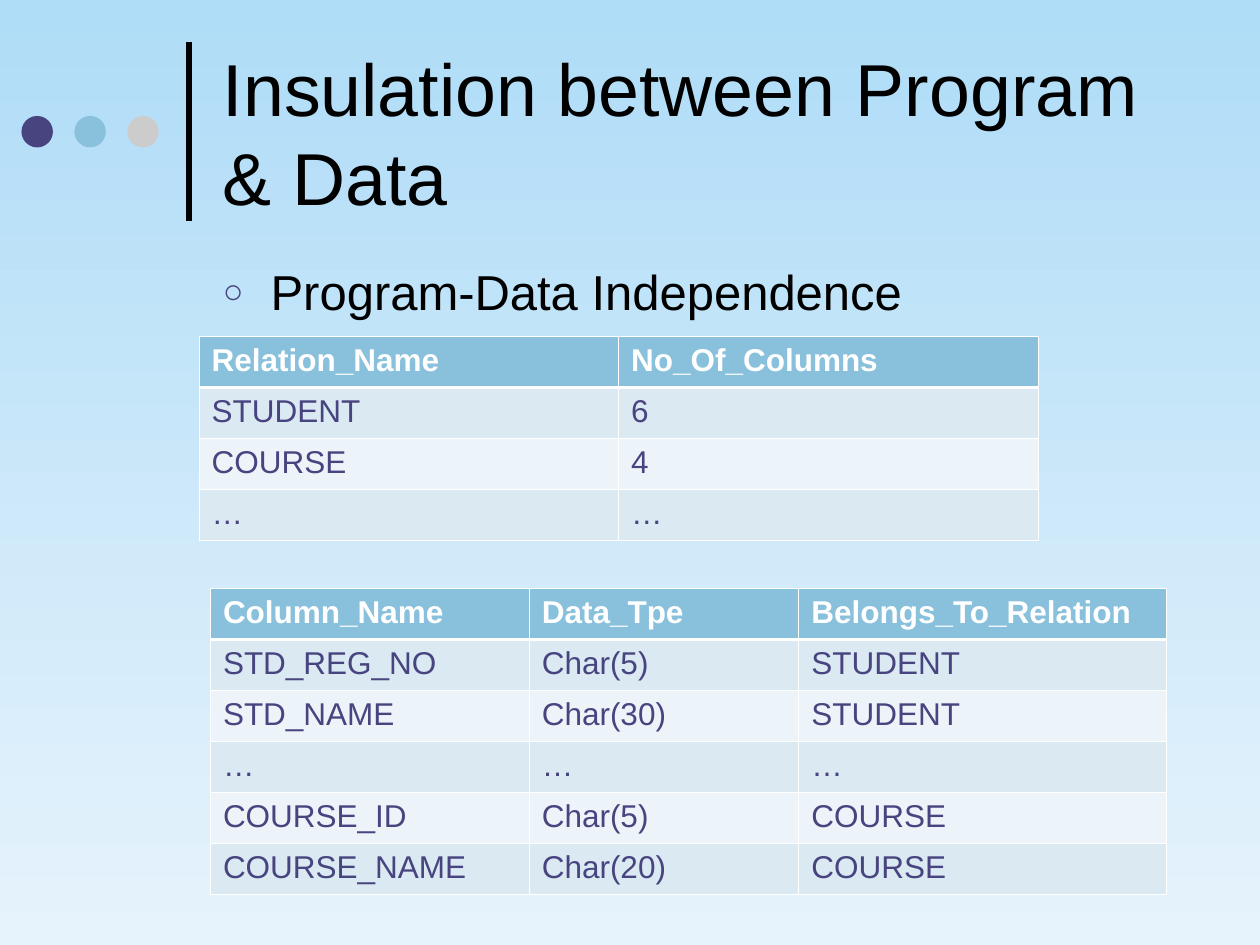
"""Build the slide on insulation between program and data."""
from lxml.etree import SubElement
from pptx import Presentation
from pptx.dml.color import RGBColor
from pptx.enum.shapes import MSO_CONNECTOR as Connector, MSO_SHAPE as Shape
from pptx.enum.text import MSO_ANCHOR as Anchor
from pptx.oxml.ns import qn
from pptx.util import Inches, Pt

COLORS = {
    "sky": "AFDCF7", "mist": "E6F3FC", "black": "000000", "white": "FFFFFF",
    "indigo": "484480", "blue": "89C1DD", "gray": "CCCCCC",
    "odd": "DAE9F2", "even": "EDF4F9",
}


def rgb(name):
    return RGBColor.from_string(COLORS[name])


def write(frame, text, size=18, color="black", bold=False, anchor=Anchor.TOP):
    frame.word_wrap = True
    frame.vertical_anchor = anchor
    paragraph = frame.paragraphs[0]
    run = paragraph.add_run()
    run.text = text
    run.font.name = "Arial"
    run.font.size = Pt(size)
    run.font.bold = bold
    run.font.color.rgb = rgb(color)
    return paragraph


prs = Presentation()
prs.slide_width, prs.slide_height = Inches(10), Inches(7.5)
slide = prs.slides.add_slide(prs.slide_layouts[6])

sky = slide.background.fill
sky.gradient()
sky.gradient_angle = 270
for stop, color in zip(sky.gradient_stops, ("sky", "mist")):
    stop.color.rgb = rgb(color)
for stop, position in zip(sky.gradient_stops, (0, 1)):
    stop.position = position

title_rule = slide.shapes.add_connector(
    Connector.STRAIGHT, Inches(1.5), Inches(1.75), Inches(1.5), Inches(0.33))
title_rule.line.color.rgb = rgb("black")
title_rule.line.width = Pt(3)
SubElement(title_rule._element.spPr, qn("a:effectLst"))

for i, color in enumerate(("indigo", "blue", "gray")):
    dot = slide.shapes.add_shape(
        Shape.OVAL, Inches(0.17 + 0.42 * i), Inches(0.92), Inches(0.25), Inches(0.25))
    dot.shadow.inherit = False
    dot.fill.solid()
    dot.fill.fore_color.rgb = rgb(color)
    dot.line.fill.background()

title = slide.shapes.add_textbox(Inches(1.67), Inches(0.21), Inches(7.67), Inches(1.67))
write(title.text_frame, "Insulation between Program & Data", size=42, anchor=Anchor.MIDDLE)

body = slide.shapes.add_textbox(Inches(1.67), Inches(2.08), Inches(7.67), Inches(4.5))
topic = write(body.text_frame, "Program-Data Independence", size=28)
topic.line_spacing = 0.9
topic.space_before = Pt(7)
topic_format = topic._p.get_or_add_pPr()
topic_format.set("marL", str(Inches(0.38)))
topic_format.set("indent", str(Inches(-0.38)))
bullet_color = SubElement(topic_format, qn("a:buClr"))
SubElement(bullet_color, qn("a:srgbClr"), val=COLORS["indigo"])
SubElement(topic_format, qn("a:buSzPct"), val="70000")
SubElement(topic_format, qn("a:buFont"), typeface="Arial")
SubElement(topic_format, qn("a:buChar"), char="○")

CATALOGS = [
    (1.58, 2.67, (3.33, 3.33), [
        ("Relation_Name", "No_Of_Columns"),
        ("STUDENT", "6"),
        ("COURSE", "4"),
        ("…", "…"),
    ]),
    (1.67, 4.67, (2.53, 2.14, 2.92), [
        ("Column_Name", "Data_Tpe", "Belongs_To_Relation"),
        ("STD_REG_NO", "Char(5)", "STUDENT"),
        ("STD_NAME", "Char(30)", "STUDENT"),
        ("…", "…", "…"),
        ("COURSE_ID", "Char(5)", "COURSE"),
        ("COURSE_NAME", "Char(20)", "COURSE"),
    ]),
]
ROW_HEIGHT = 0.405

for left, top, widths, records in CATALOGS:
    catalog = slide.shapes.add_table(
        len(records), len(widths), Inches(left), Inches(top),
        Inches(sum(widths)), Inches(ROW_HEIGHT * len(records))).table
    for column, width in zip(catalog.columns, widths):
        column.width = Inches(width)
    for r, record in enumerate(records):
        catalog.rows[r].height = Inches(ROW_HEIGHT)
        header = r == 0
        band = "blue" if header else "odd" if r % 2 else "even"
        for c, value in enumerate(record):
            cell = catalog.cell(r, c)
            write(cell.text_frame, value, color="white" if header else "indigo", bold=header)
            borders = cell._tc.get_or_add_tcPr()
            for side in "LRTB":
                thick = (r, side) in ((0, "B"), (1, "T"))
                edge = SubElement(borders, qn(f"a:ln{side}"), w=str(Pt(1.47 if thick else 0.45)))
                edge_fill = SubElement(edge, qn("a:solidFill"))
                SubElement(edge_fill, qn("a:srgbClr"), val=COLORS["white"])
            cell.fill.solid()
            cell.fill.fore_color.rgb = rgb(band)

prs.save("out.pptx")
